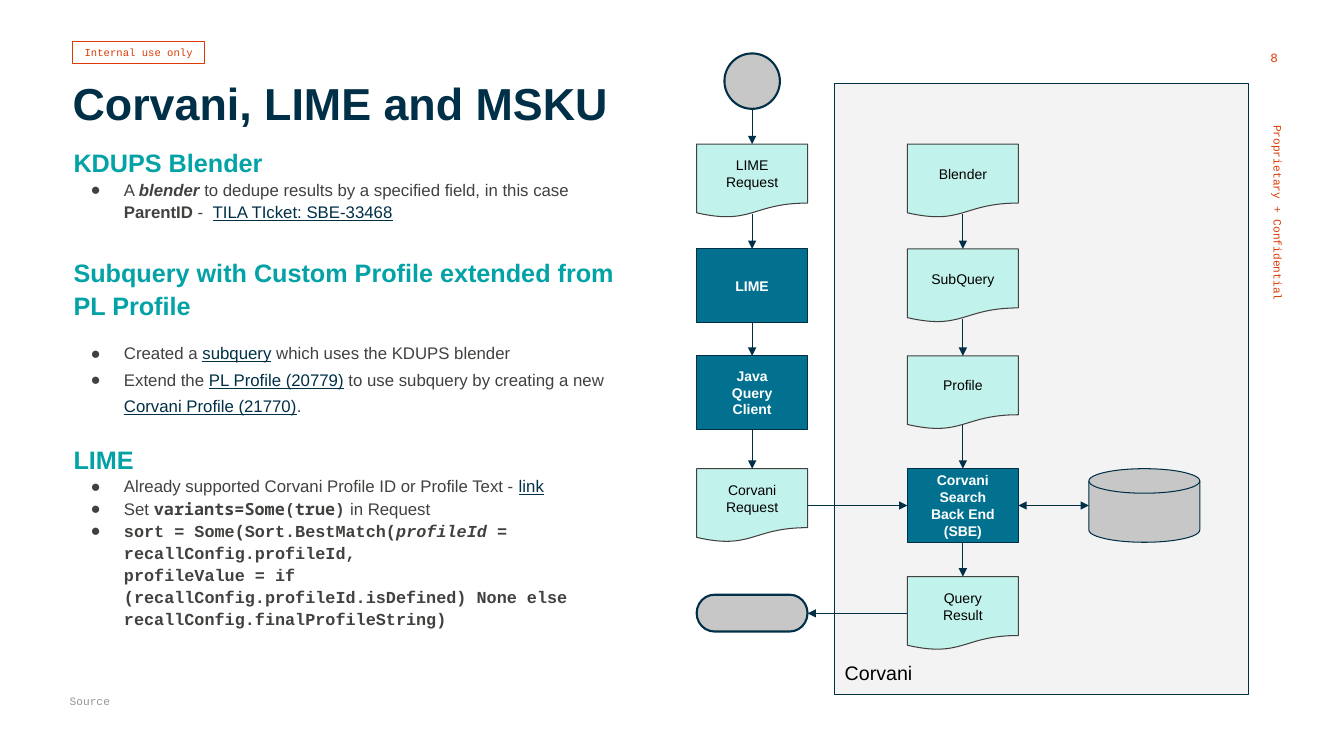
import pptx
import pptx.dml.color
import pptx.enum.shapes
import pptx.enum.text
import pptx.oxml.ns
import pptx.util
from lxml import etree

Inches, Pt = pptx.util.Inches, pptx.util.Pt
color = pptx.dml.color.RGBColor.from_string
Kind = pptx.enum.shapes.MSO_SHAPE
Anchor = pptx.enum.text.MSO_ANCHOR
Align = pptx.enum.text.PP_ALIGN
qn = pptx.oxml.ns.qn

NAVY, TEAL, GRAY, RED = "003047", "02A2A7", "41413F", "DC3B06"
MINT, BLUE, SILVER = "C2F2EC", "01718F", "C7C7C7"

deck = pptx.Presentation()
deck.slide_width, deck.slide_height = Inches(13.33), Inches(7.5)
page = deck.slides.add_slide(deck.slide_layouts[6])


def write(para, text, ink, **formats):
    """Append text to a paragraph, turning newlines into line breaks."""
    for number, line in enumerate(text.split("\n")):
        if number:
            para.add_line_break()
        span = para.add_run()
        span.text = line
        span.font.color.rgb = color(ink)
        for name, value in formats.items():
            setattr(span.font, name, value)


def add_box(place, kind=None, fill=None, line=None, weight=0.75, lines=(),
            ink="000000", anchor=Anchor.MIDDLE, align=Align.CENTER, **formats):
    """Add a preset shape, or a text box without insets if kind is None."""
    place = [Inches(length) for length in place]
    if kind is None:
        box = page.shapes.add_textbox(*place)
    else:
        box = page.shapes.add_shape(kind, *place)
        box.shadow.inherit = False
        box.line.color.rgb = color(line)
        box.line.width = Pt(weight)
        if fill:
            box.fill.solid()
            box.fill.fore_color.rgb = color(fill)
        else:
            box.fill.background()
    frame = box.text_frame
    frame.word_wrap = True
    frame.vertical_anchor = anchor
    for side in ("left", "top", "right", "bottom"):
        setattr(frame, "margin_" + side, Inches(0.1 if kind else 0))
    for number, text in enumerate(lines):
        para = frame.add_paragraph() if number else frame.paragraphs[0]
        para.alignment = align
        write(para, text, ink, **formats)
    return box


# Page furniture
mono = {"name": "Courier New", "align": Align.LEFT}
side_note = add_box((11.27, 2.58, 2.81, 0.13), lines=["Proprietary + Confidential"],
                    ink=RED, anchor=Anchor.BOTTOM, size=Pt(8), **mono)
side_note.rotation = 90
add_box((0.72, 0.41, 1.31, 0.22), Kind.RECTANGLE, line=RED, lines=["Internal use only"],
        ink=RED, name="Courier New", size=Pt(7.5))
add_box((12.6, 0.44, 0.62, 0.21), lines=["8"], ink=RED, anchor=Anchor.BOTTOM,
        size=Pt(9), **mono)
add_box((0.69, 6.89, 2.58, 0.31), lines=["Source"], ink="959595", anchor=Anchor.TOP,
        size=Pt(8), **mono)
add_box((0.72, 0.27, 5.65, 1.49), lines=["Corvani, LIME and MSKU"], ink=NAVY,
        align=Align.LEFT, name="Arial", size=Pt(32), bold=True)

# Body: bulleted, line spacing, space before, spans
heading = {"ink": TEAL, "name": "Arial", "size": Pt(18), "bold": True}
plain = {"ink": GRAY, "name": "Arial", "size": Pt(12)}
strong = {**plain, "bold": True}
link = {**plain, "ink": NAVY, "underline": True}
code = {**strong, "name": "Courier New"}
body = [
    (False, 1.1, 0, [("KDUPS Blender", heading)]),
    (True, 1.1, 0, [("A ", plain), ("blender", {**strong, "italic": True}),
                    (" to dedupe results by a specified field, in this case ", plain),
                    ("ParentID", strong), (" -  ", plain),
                    ("TILA TIcket: SBE-33468", link)]),
    (False, 1.1, 23, [("Subquery with Custom Profile extended from PL Profile", heading)]),
    (True, 1.3, 12, [("Created a ", plain), ("subquery", link),
                     (" which uses the KDUPS blender", plain)]),
    (True, 1.3, 0, [("Extend the ", plain), ("PL Profile (20779)", link),
                    (" to use subquery by creating a new ", plain),
                    ("Corvani Profile (21770)", link), (".", plain)]),
    (False, 1.1, 18, [("LIME", heading)]),
    (True, 1.1, 0, [("Already supported Corvani Profile ID or Profile Text - ", plain),
                    ("link", link)]),
    (True, 1.1, 0, [("Set ", plain),
                    ("variants=Some(true)", {**strong, "name": "Noto Sans Mono"}),
                    (" in Request", plain)]),
    (True, 1.1, 0, [("sort = Some(Sort.BestMatch(", code),
                    ("profileId", {**code, "italic": True}),
                    (" = recallConfig.profileId,\nprofileValue = if "
                     "(recallConfig.profileId.isDefined) None else "
                     "recallConfig.finalProfileString)", code)]),
]
frame = add_box((0.73, 1.43, 5.63, 5.61), anchor=Anchor.TOP).text_frame
for number, (bulleted, spacing, before, spans) in enumerate(body):
    para = frame.add_paragraph() if number else frame.paragraphs[0]
    para.line_spacing = spacing
    if before:
        para.space_before = Pt(before)
    if bulleted:
        settings = para._p.get_or_add_pPr()
        settings.set("marL", str(Inches(0.5)))
        settings.set("indent", str(Inches(-0.33)))
        bullet_color = etree.SubElement(settings, qn("a:buClr"))
        etree.SubElement(bullet_color, qn("a:srgbClr"), val=GRAY)
        etree.SubElement(settings, qn("a:buFont"), typeface="Arial")
        etree.SubElement(settings, qn("a:buChar"), char="●")
    for text, style in spans:
        write(para, text, **style)

# Flow chart grid
columns = [6.91, 9, 10.8]
rows = [1.43, 2.47, 3.53, 4.65, 5.72]
width, height, document_height = 1.1, 0.73, 0.69
middle = [left + width / 2 for left in columns]
add_box((8.28, 0.83, 4.1, 6.06), Kind.RECTANGLE, "F3F3F3", NAVY, lines=["Corvani"],
        anchor=Anchor.BOTTOM, align=Align.LEFT, name="Arial", size=Pt(14))

document = {"kind": Kind.FLOWCHART_DOCUMENT, "fill": MINT, "line": GRAY}
process = {"kind": Kind.FLOWCHART_PROCESS, "fill": BLUE, "line": NAVY,
           "ink": "FFFFFF", "bold": True}
steps = [
    (0, 0, document, ["LIME", "Request"]),
    (0, 1, process, ["LIME"]),
    (0, 2, process, ["Java", "Query", "Client"]),
    (0, 3, document, ["Corvani Request"]),
    (1, 0, document, ["Blender"]),
    (1, 1, document, ["SubQuery"]),
    (1, 2, document, ["Profile"]),
    (1, 3, process, ["Corvani", "Search", "Back End", "(SBE)"]),
    (1, 4, document, ["Query", "Result"]),
]
arrows = [(middle[0], 1.07, middle[0], rows[0], False)]
for index, (column, row, style, lines) in enumerate(steps):
    add_box((columns[column], rows[row], width, height), lines=lines,
            name="Arial", size=Pt(10), **style)
    if index + 1 < len(steps) and steps[index + 1][0] == column:
        bottom = rows[row] + (document_height if style is document else height)
        arrows.append((middle[column], bottom, middle[column], rows[row + 1], False))

diameter = 0.55
add_box((middle[0] - diameter / 2, 0.53, diameter, diameter), Kind.FLOWCHART_CONNECTOR,
        SILVER, NAVY, 1.5)
add_box((columns[2], rows[3], width, height), Kind.FLOWCHART_MAGNETIC_DISK, SILVER, NAVY)
add_box((columns[0], 5.9, width, height / 2), Kind.FLOWCHART_TERMINATOR, SILVER, NAVY, 1.5)

request_level, result_level = (rows[row] + height / 2 for row in (3, 4))
arrows += [
    (columns[0] + width, request_level, columns[1], request_level, False),
    (columns[1] + width, request_level, columns[2], request_level, True),
    (columns[1], result_level, columns[0] + width, result_level, False),
]
for *ends, two_way in arrows:
    arrow = page.shapes.add_connector(pptx.enum.shapes.MSO_CONNECTOR.STRAIGHT,
                                      *[Inches(length) for length in ends])
    arrow.line.color.rgb = color(NAVY)
    arrow.line.width = Pt(0.75)
    stroke = arrow.line._get_or_add_ln()
    for tip in ["headEnd", "tailEnd"] if two_way else ["tailEnd"]:
        etree.SubElement(stroke, qn("a:" + tip), type="triangle")
    etree.SubElement(arrow._element.spPr, qn("a:effectLst"))

deck.save("out.pptx")
